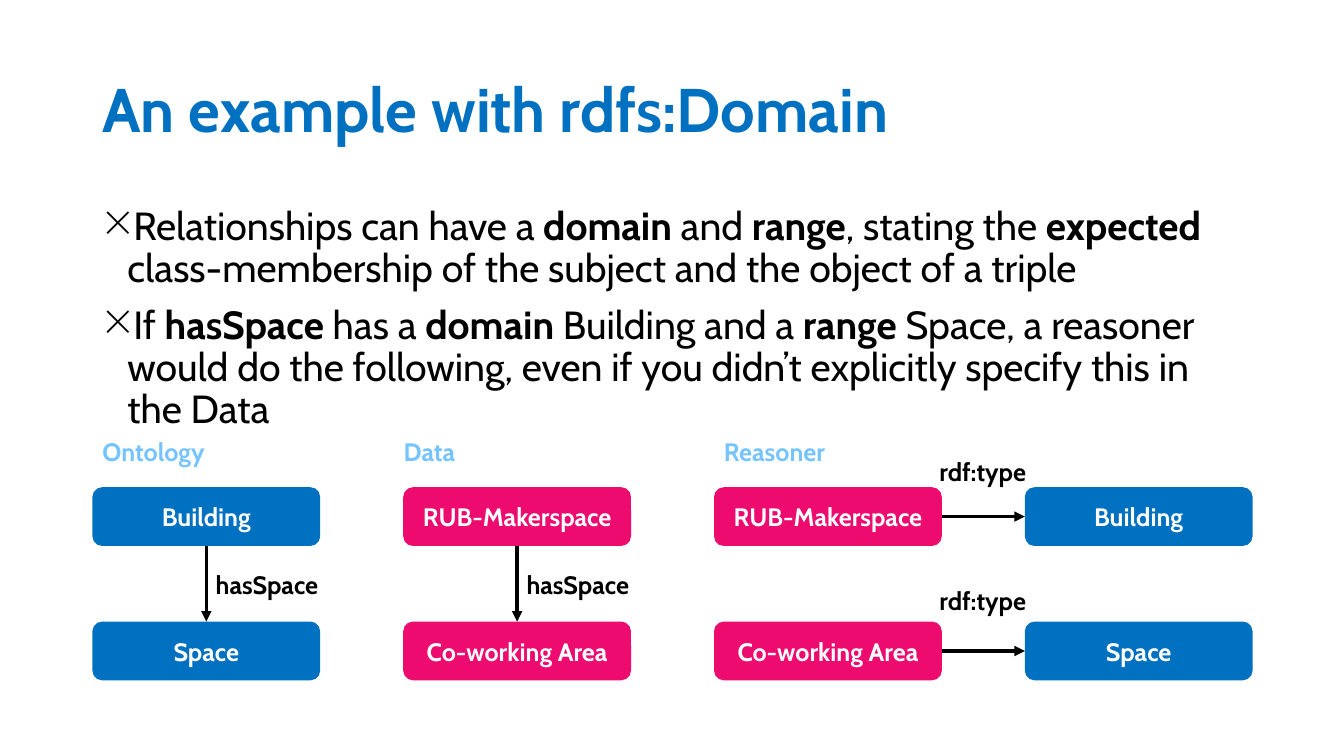
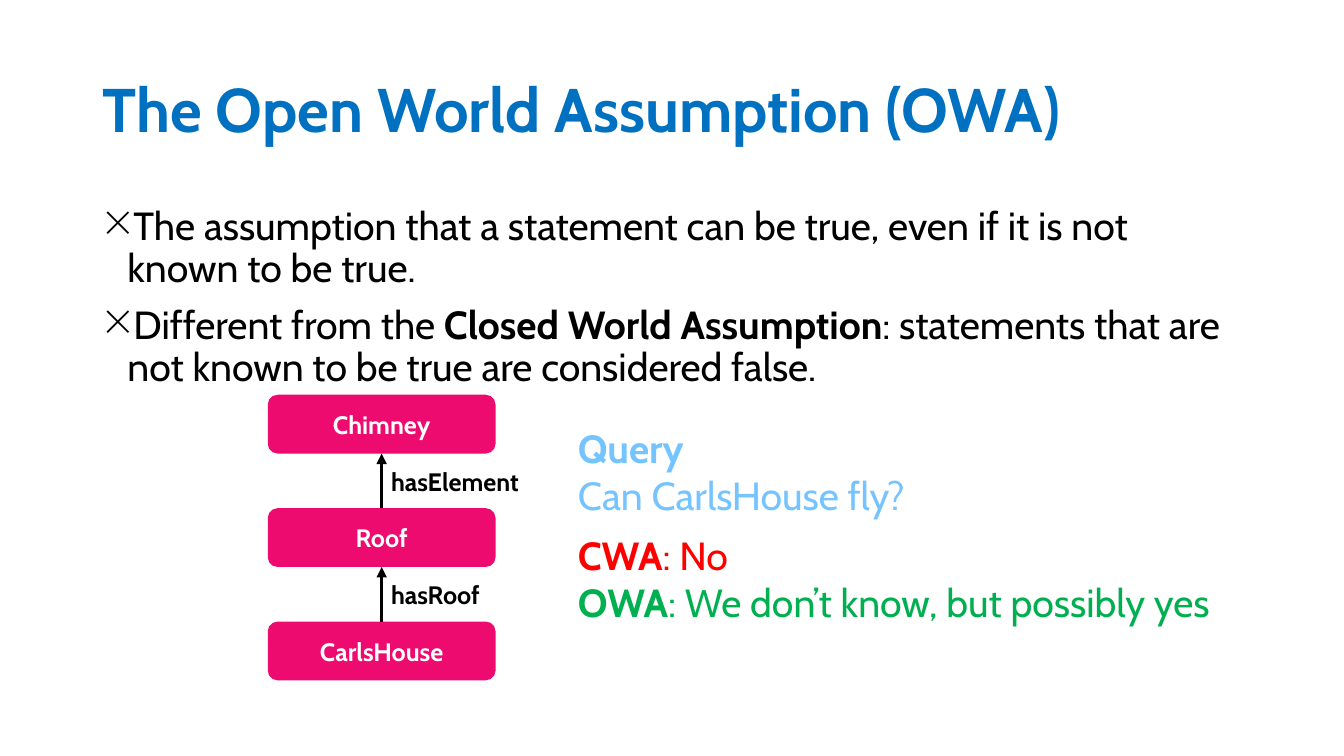
from dataclasses import dataclass
from typing import Any

from lxml import etree
from pptx import Presentation
from pptx.dml import color
from pptx.enum import shapes, text
from pptx.oxml import ns
from pptx import util as u

PX = 9525
COLORS = {
    "blue": "0070C0",
    "pink": "ED0B70",
    "sky": "75C4FF",
    "red": "FF0000",
    "green": "00B050",
    "black": "000000",
    "white": "FFFFFF",
}
FONT = "Cabin"
LEFT, CONTENT_WIDTH = 88, 1104
NODE_WIDTH, NODE_HEIGHT = 217, 56
COLUMN_STEP = 296
UPPER, LOWER = 464, 592
LABEL_WIDTH, LABEL_HEIGHT = 154, 38
BULLET_INDENT = 24
TOP, LEFT_SIDE, BOTTOM, RIGHT_SIDE = range(4)


@dataclass(frozen=True)
class Area:
    left: int
    top: int
    width: int
    height: int

    def emu(self) -> tuple[int, ...]:
        return tuple(v * PX for v in (self.left, self.top, self.width, self.height))


@dataclass(frozen=True)
class Line:
    content: str
    color: str = "black"
    size: int = 18
    align: Any = text.PP_ALIGN.LEFT
    spacing: float = 1.0
    before: int = 0
    bullet: str = ""


@dataclass(frozen=True)
class Node:
    name: str
    color: str
    left: int
    top: int


@dataclass(frozen=True)
class Link:
    start: int
    start_side: int
    end: int
    end_side: int


def apply(target: Any, values: dict[str, Any]) -> None:
    for name, value in values.items():
        setattr(target, name, value)


def rgb(name: str) -> color.RGBColor:
    return color.RGBColor.from_string(COLORS[name])


def write(frame: Any, lines: list[Line], **frame_format: Any) -> None:
    apply(frame, {"word_wrap": True, **frame_format})
    for index, line in enumerate(lines):
        para = frame.add_paragraph() if index else frame.paragraphs[0]
        if line.bullet:
            properties = para._p.get_or_add_pPr()
            properties.set("marL", str(BULLET_INDENT * PX))
            properties.set("indent", str(-BULLET_INDENT * PX))
            etree.SubElement(properties, ns.qn("a:buChar")).set("char", line.bullet)
        apply(para, {
            "alignment": line.align,
            "line_spacing": line.spacing,
            "space_before": u.Pt(line.before if index else 0),
        })
        for position, content in enumerate(line.content.split("**")):
            if content:
                span = para.add_run()
                span.text = content
                apply(span.font, {
                    "name": FONT, "size": u.Pt(line.size), "bold": position % 2 == 1,
                })
                span.font.color.rgb = rgb(line.color)


def add_text(page: Any, area: Area, lines: list[Line], grow: bool = True) -> None:
    box = page.shapes.add_textbox(*area.emu())
    fit = text.MSO_AUTO_SIZE.SHAPE_TO_FIT_TEXT if grow else text.MSO_AUTO_SIZE.NONE
    write(box.text_frame, lines, auto_size=fit)


def add_label(page: Any, content: str, left: int, top: int,
              ink: str = "black", align: Any = text.PP_ALIGN.LEFT) -> None:
    add_text(page, Area(left, top, LABEL_WIDTH, LABEL_HEIGHT),
             [Line(f"**{content}**", ink, align=align)])


def add_node(page: Any, node: Node) -> Any:
    area = Area(node.left, node.top, NODE_WIDTH, NODE_HEIGHT)
    box = page.shapes.add_shape(shapes.MSO_SHAPE.ROUNDED_RECTANGLE, *area.emu())
    box.shadow.inherit = False
    box.fill.solid()
    box.fill.fore_color.rgb = rgb(node.color)
    box.line.fill.background()
    write(box.text_frame,
          [Line(f"**{node.name}**", "white", align=text.PP_ALIGN.CENTER)],
          vertical_anchor=text.MSO_ANCHOR.MIDDLE)
    return box


def add_diagram(page: Any, nodes: list[Node], links: list[Link]) -> None:
    boxes = [add_node(page, node) for node in nodes]
    for link in links:
        arrow = page.shapes.add_connector(shapes.MSO_CONNECTOR.STRAIGHT, 0, 0, 0, 0)
        arrow.begin_connect(boxes[link.start], link.start_side)
        arrow.end_connect(boxes[link.end], link.end_side)
        arrow.line.color.rgb = rgb("black")
        arrow.line.width = u.Pt(2.5)
        stroke = arrow.line._get_or_add_ln()
        etree.SubElement(stroke, ns.qn("a:tailEnd")).set("type", "triangle")
        etree.SubElement(arrow._element.spPr, ns.qn("a:effectLst"))


def add_link_label(page: Any, content: str, left: int, upper: int, lower: int) -> None:
    middle = (upper + NODE_HEIGHT + lower) // 2
    add_label(page, content, left + NODE_WIDTH // 2, middle - LABEL_HEIGHT // 2)


def add_page(deck: Any, heading: str, bullets: list[str]) -> Any:
    page = deck.slides.add_slide(deck.slide_layouts[5])
    title = page.shapes.title
    area = Area(LEFT, 38, CONTENT_WIDTH, 139)
    apply(title, dict(zip(("left", "top", "width", "height"), area.emu())))
    write(title.text_frame, [Line(f"**{heading}**", "blue", 44, spacing=0.9)],
          vertical_anchor=text.MSO_ANCHOR.MIDDLE, auto_size=text.MSO_AUTO_SIZE.NONE)
    add_text(page, Area(LEFT, 192, CONTENT_WIDTH, 457),
             [Line(bullet, size=28, spacing=0.9, before=10, bullet="×")
              for bullet in bullets], grow=False)
    return page


def build_domain_page(deck: Any) -> None:
    page = add_page(deck, "An example with rdfs:Domain", [
        "Relationships can have a **domain** and **range**, stating the **expected** "
        "class-membership of the subject and the object of a triple",
        "If **hasSpace** has a **domain** Building and a **range** Space, a reasoner "
        "would do the following, even if you didn’t explicitly specify this in the Data",
    ])
    columns = [LEFT + COLUMN_STEP * index for index in range(4)]
    classes = ("blue", "Building", "Space")
    instances = ("pink", "RUB-Makerspace", "Co-working Area")
    nodes = [
        Node(name, fill, left, top)
        for left, (fill, *names) in zip(columns, (classes, instances, instances, classes))
        for name, top in zip(names, (UPPER, LOWER))
    ]
    add_diagram(page, nodes, [
        Link(0, BOTTOM, 1, TOP),
        Link(2, BOTTOM, 3, TOP),
        Link(4, RIGHT_SIDE, 6, LEFT_SIDE),
        Link(5, RIGHT_SIDE, 7, LEFT_SIDE),
    ])
    for left in columns[:2]:
        add_link_label(page, "hasSpace", left, UPPER, LOWER)
    for heading, left in (("Ontology", LEFT), ("Data", 375), ("Reasoner", columns[2])):
        add_label(page, heading, left, 411, "sky")
    for top in (430, 553):
        add_label(page, "rdf:type", 859, top, align=text.PP_ALIGN.CENTER)


def build_assumption_page(deck: Any) -> None:
    page = add_page(deck, "The Open World Assumption (OWA)", [
        "The assumption that a statement can be true, even if it is not known to be true.",
        "Different from the **Closed World Assumption**: statements that are not known "
        "to be true are considered false.",
    ])
    left = 255
    tops = [LOWER - 108 * index for index in range(3)]
    names = ("CarlsHouse", "Roof", "Chimney")
    add_diagram(page,
                [Node(name, "pink", left, top) for name, top in zip(names, tops)],
                [Link(index, TOP, index + 1, BOTTOM) for index in range(2)])
    for name, lower, upper in zip(("hasRoof", "hasElement"), tops, tops[1:]):
        add_link_label(page, name, left, upper, lower)
    answers = (
        (399, (("**Query**", "sky"), ("Can CarlsHouse fly?", "sky"))),
        (501, (("**CWA**: No", "red"),
               ("**OWA**: We don’t know, but possibly yes", "green"))),
    )
    for top, lines in answers:
        add_text(page, Area(541, top, 650, 100),
                 [Line(content, ink, 28) for content, ink in lines])


def main() -> None:
    deck = Presentation()
    apply(deck, {"slide_width": 1280 * PX, "slide_height": 720 * PX})
    build_domain_page(deck)
    build_assumption_page(deck)
    deck.save("out.pptx")


if __name__ == "__main__":
    main()
